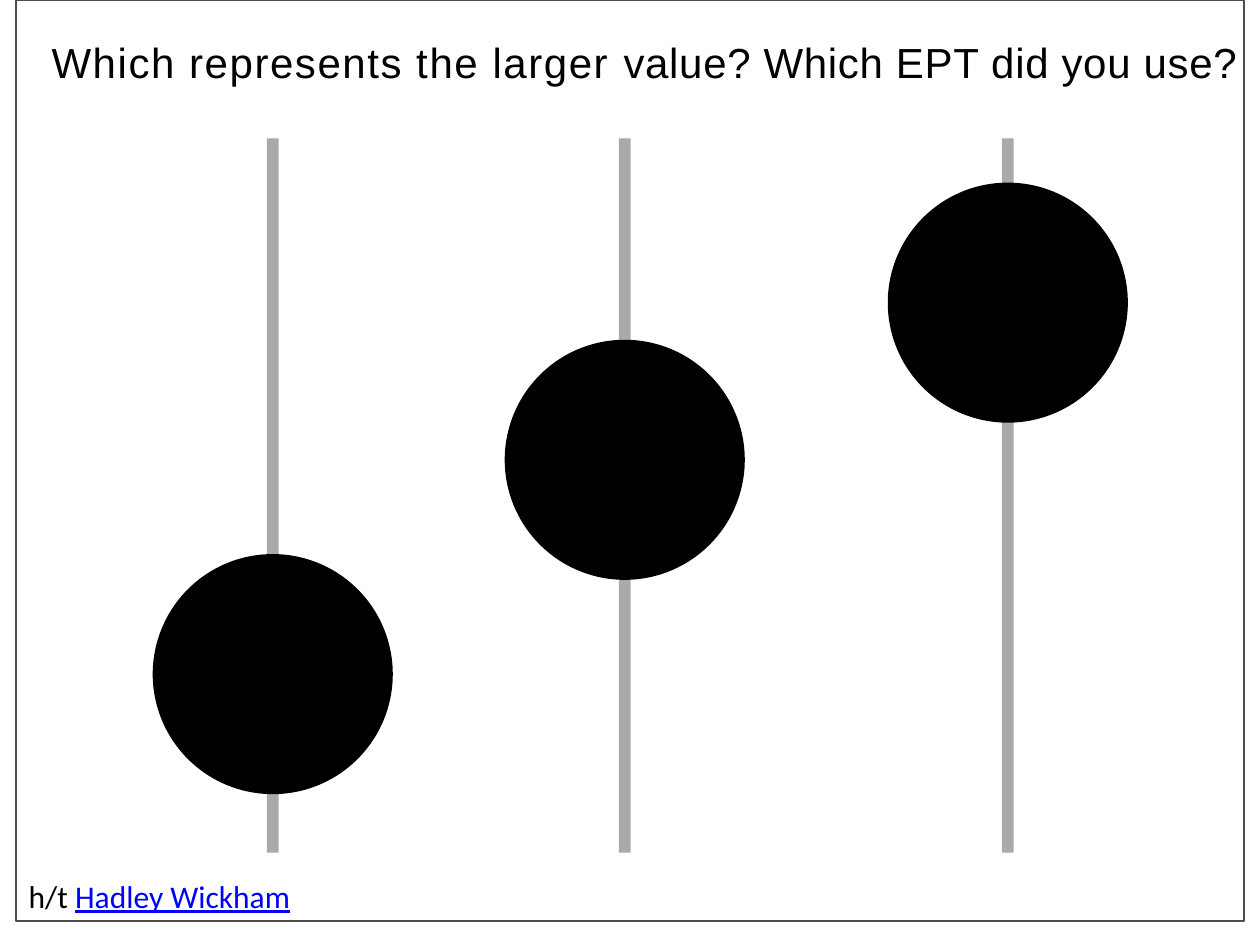
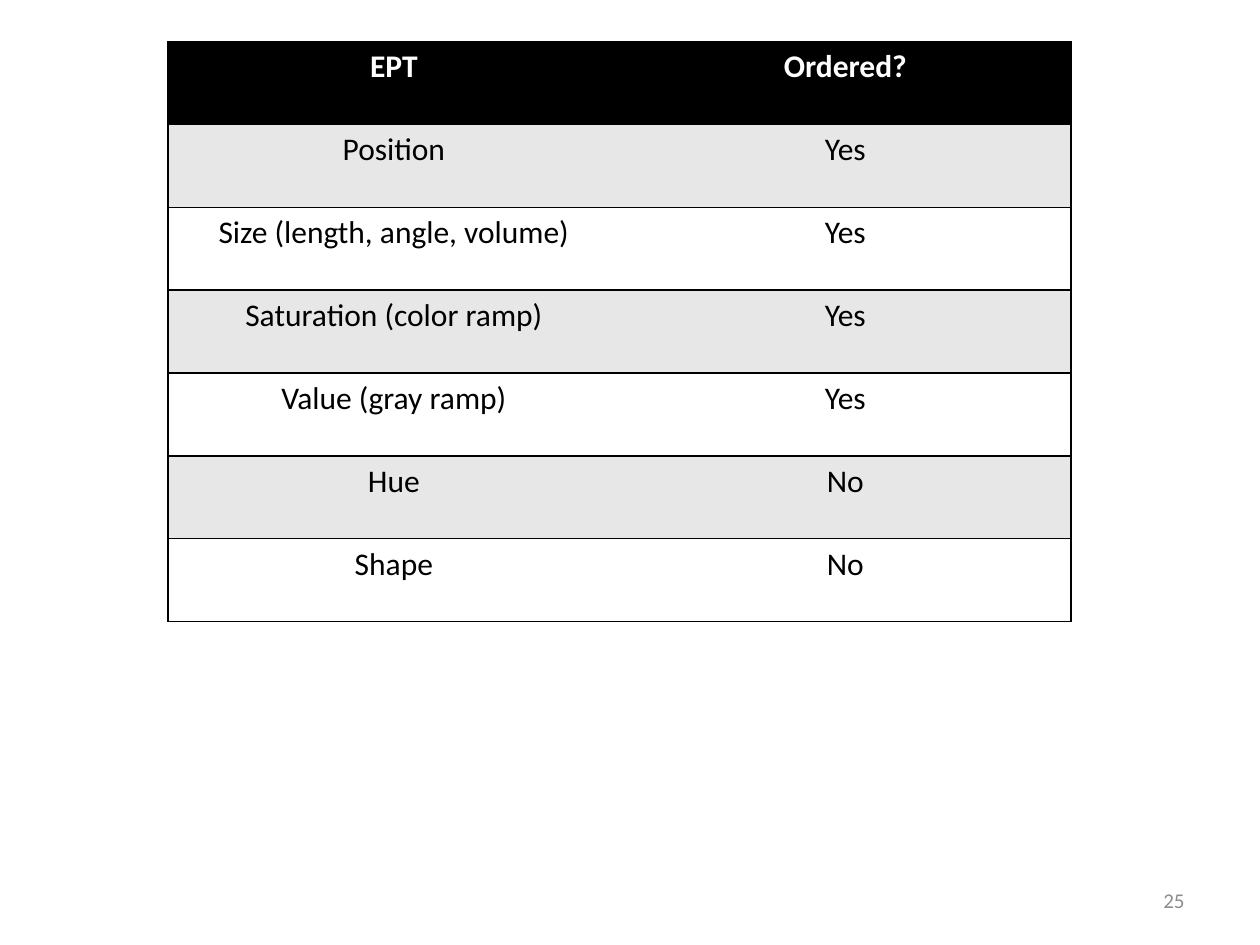
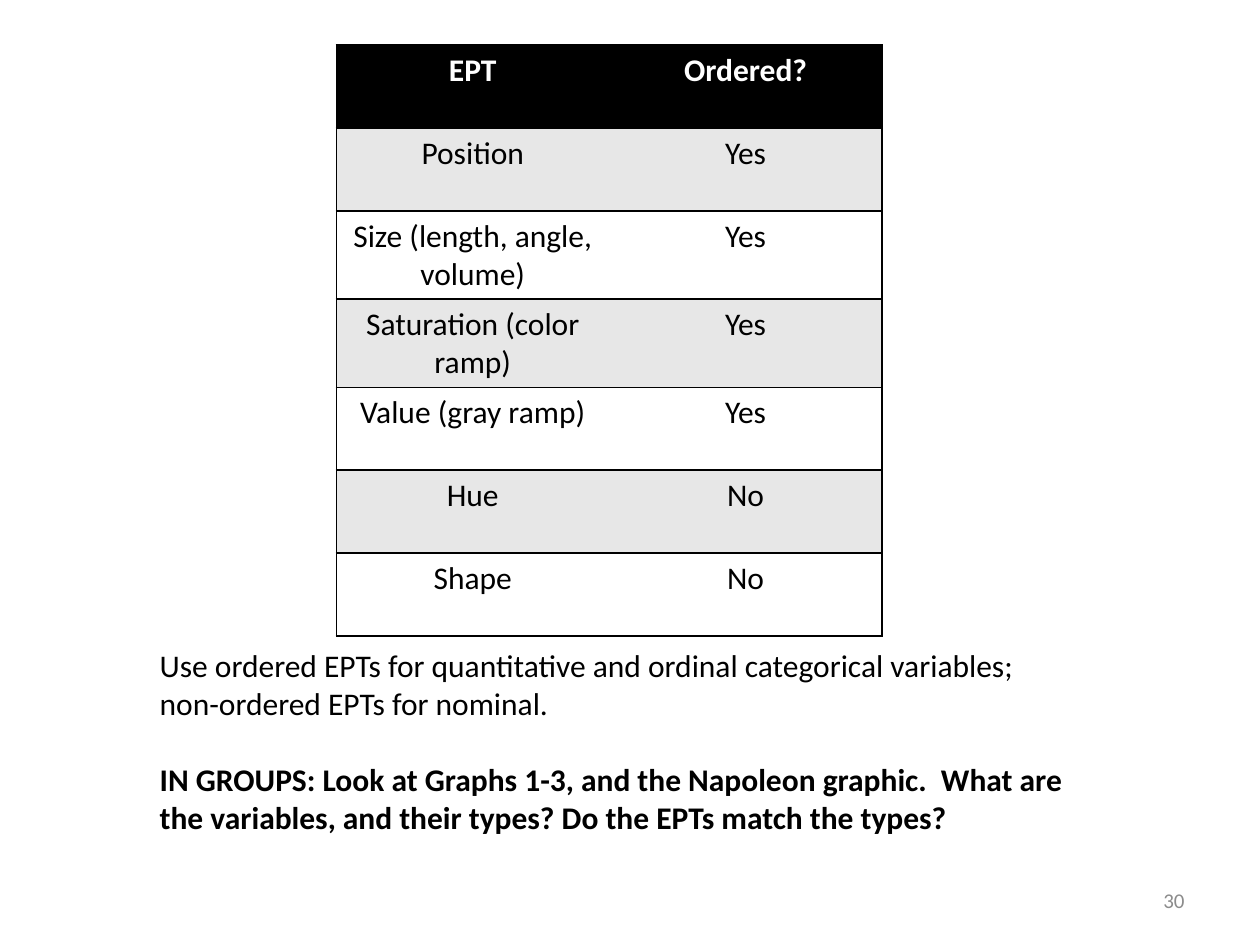
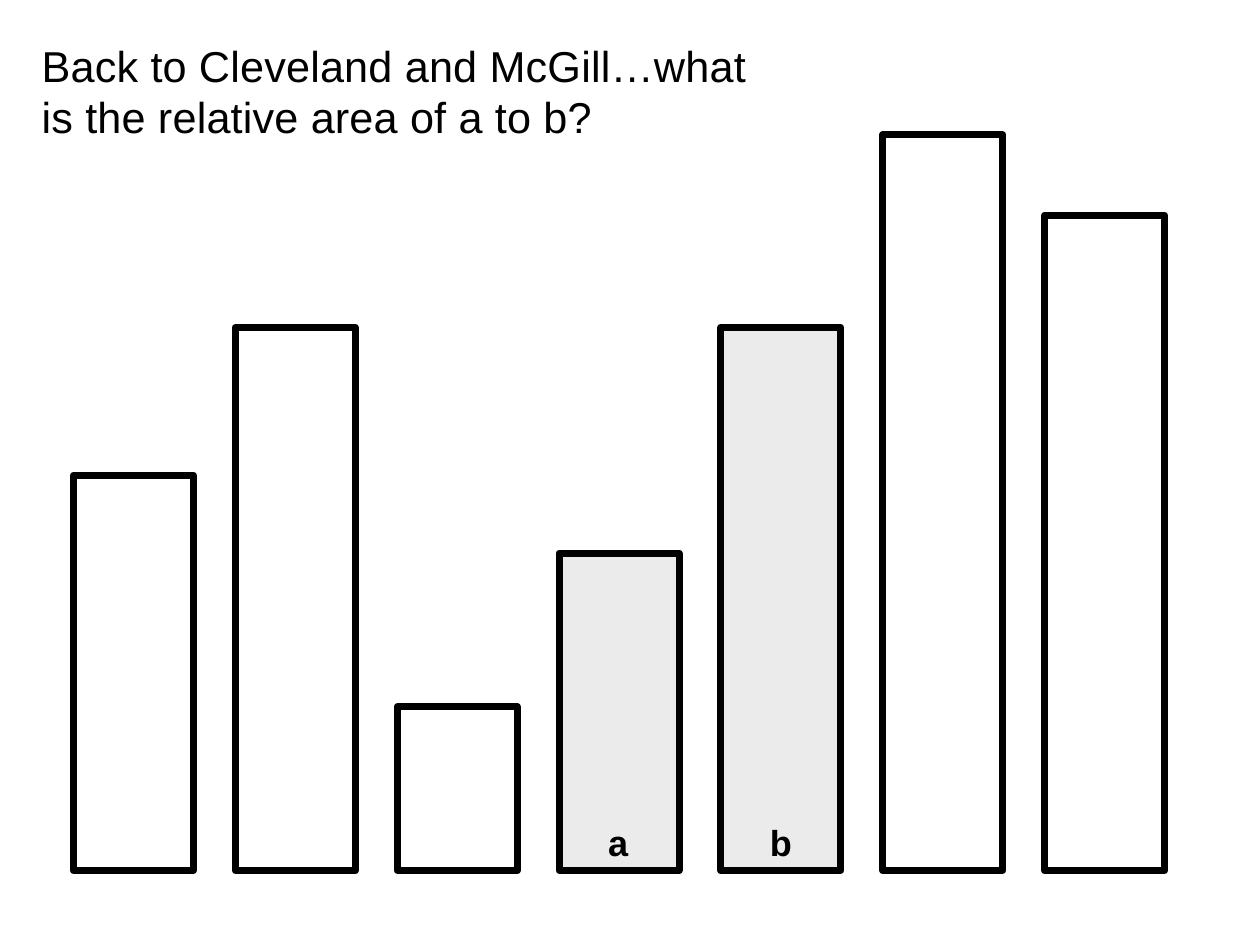
from lxml import etree
from pptx import Presentation
from pptx.dml.color import RGBColor
from pptx.enum.shapes import MSO_SHAPE
from pptx.enum.text import MSO_ANCHOR, PP_ALIGN
from pptx.oxml.ns import qn
from pptx.util import Cm, Pt

RECTANGLE, OVAL = MSO_SHAPE.RECTANGLE, MSO_SHAPE.OVAL
LEFT, CENTER, RIGHT = PP_ALIGN.LEFT, PP_ALIGN.CENTER, PP_ALIGN.RIGHT
TOP, MIDDLE = MSO_ANCHOR.TOP, MSO_ANCHOR.MIDDLE

BLACK = RGBColor(0x00, 0x00, 0x00)
WHITE = RGBColor(0xFF, 0xFF, 0xFF)
TRACK_GRAY = RGBColor(0xAA, 0xAA, 0xAA)
FRAME_GRAY = RGBColor(0x4C, 0x4C, 0x4C)
BAND_GRAY = RGBColor(0xE7, 0xE7, 0xE7)
BAR_GRAY = RGBColor(0xEB, 0xEB, 0xEB)
NUMBER_GRAY = RGBColor(0x8C, 0x8C, 0x8C)
LINK_BLUE = RGBColor(0x00, 0x00, 0xFF)

HEADING_FONT, BODY_FONT = "Arial", "Calibri"

EPT_ROWS = [
    ("EPT", "Ordered?"),
    ("Position", "Yes"),
    ("Size (length, angle, volume)", "Yes"),
    ("Saturation (color ramp)", "Yes"),
    ("Value (gray ramp)", "Yes"),
    ("Hue", "No"),
    ("Shape", "No"),
]
ROW_HEIGHT = 1.67


def add_figure(slide, kind, box, fill=None, line=None, line_width=1):
    figure = slide.shapes.add_shape(kind, *map(Cm, box))
    figure.shadow.inherit = False
    if fill is None:
        figure.fill.background()
    else:
        figure.fill.solid()
        figure.fill.fore_color.rgb = fill
    if line is None:
        figure.line.fill.background()
    else:
        figure.line.color.rgb = line
        figure.line.width = Pt(line_width)
        outline = figure.line._get_or_add_ln()
        for join in outline.findall(qn("a:miter")):
            outline.remove(join)
        etree.SubElement(outline, qn("a:round"))
    return figure


def style(font, name, size, color=BLACK, bold=False):
    font.name = name
    font.size = Pt(size)
    font.color.rgb = color
    font.bold = bold


def add_text(slide, box, runs, name, size, color=BLACK, bold=False,
             align=LEFT, anchor=TOP, wrap=True, inset=True):
    frame = slide.shapes.add_textbox(*map(Cm, box)).text_frame
    frame.word_wrap = wrap
    frame.vertical_anchor = anchor
    if not inset:
        frame.margin_left = frame.margin_right = 0
        frame.margin_top = frame.margin_bottom = 0
    paragraph = frame.paragraphs[0]
    paragraph.alignment = align
    style(paragraph.font, name, size, color, bold)
    for text, spacing in runs:
        run = paragraph.add_run()
        run.text = text
        if spacing:
            run._r.get_or_add_rPr().set("spc", str(round(spacing * 100)))
    return frame


def add_page_number(slide, number):
    add_text(slide, (18.2, 17.65, 5.93, 1.01), [(number, 0)], BODY_FONT, 12,
             NUMBER_GRAY, align=RIGHT, anchor=MIDDLE)


def add_sliders(slide, box):
    left, top, width, height = box
    track_width, knob = 0.24, 4.84
    sliders = [(0.16, 0.75), (0.5, 0.45), (0.87, 0.23)]
    for x_share, y_share in sliders:
        x, y = left + width * x_share, top + height * y_share
        add_figure(slide, RECTANGLE,
                   (x - track_width / 2, top, track_width, height), TRACK_GRAY)
        add_figure(slide, OVAL, (x - knob / 2, y - knob / 2, knob, knob), BLACK)


def build_value_question(slide, box):
    left, top, width, height = box
    add_sliders(slide, (left + 1.83, top + 2.79, 20.87, 14.4))
    add_figure(slide, RECTANGLE, box, line=FRAME_GRAY)
    credit = add_text(slide, (left, top + height - 1.02, 5.84, 1.02),
                      [("h/t ", 0), ("Hadley Wickham", 0)], BODY_FONT, 18,
                      wrap=False)
    author = credit.paragraphs[0].runs[1].font
    author.color.rgb = LINK_BLUE
    author.underline = True
    add_text(slide, (left + 0.46, top + 0.61, 24.64, 1.27),
             [("Which represents the larger ", 0.9),
              ("value? Which EPT did you use?", 0.4)],
             HEADING_FONT, 24, wrap=False)


def set_borders(cell, visible_sides):
    properties = cell._tc.get_or_add_tcPr()
    for side in "LRTB":
        border = etree.SubElement(properties, qn(f"a:ln{side}"), w=str(Pt(1)))
        if side in visible_sides:
            fill = etree.SubElement(border, qn("a:solidFill"))
            etree.SubElement(fill, qn("a:srgbClr"), val=str(BLACK))
        else:
            etree.SubElement(border, qn("a:noFill"))


def add_ept_table(slide, left, top, width):
    table = slide.shapes.add_table(
        len(EPT_ROWS), 2, Cm(left), Cm(top), Cm(width),
        Cm(ROW_HEIGHT * len(EPT_ROWS))).table
    table.horz_banding = False
    for row_index, texts in enumerate(EPT_ROWS):
        table.rows[row_index].height = Cm(ROW_HEIGHT)
        is_header = row_index == 0
        band = BLACK if is_header else BAND_GRAY if row_index % 2 else WHITE
        for column, text in enumerate(texts):
            cell = table.cell(row_index, column)
            set_borders(cell, "TB" + "LR"[column])
            cell.fill.solid()
            cell.fill.fore_color.rgb = band
            cell.text = text
            paragraph = cell.text_frame.paragraphs[0]
            paragraph.alignment = CENTER
            style(paragraph.font, BODY_FONT, 18,
                  WHITE if is_header else BLACK, is_header)


def build_ept_slide(slide, left, top, width, number):
    add_page_number(slide, number)
    add_ept_table(slide, left, top, width)


def add_group_task(slide, box):
    frame = add_text(
        slide, box,
        [("Use ordered EPTs for quantitative and ordinal categorical "
          "variables; non-ordered EPTs for nominal.", 0)], BODY_FONT, 18)
    task = frame.add_paragraph()
    task.text = ("IN GROUPS: Look at Graphs 1-3, and the Napoleon graphic.  "
                 "What are the variables, and their types? "
                 "Do the EPTs match the types?")
    task.space_before = Pt(22)
    style(task.font, BODY_FONT, 18, bold=True)


def add_bars(slide, box):
    left, top, width, height = box
    bars = [(7.97, ""), (10.95, ""), (3.3, ""), (6.4, "a"), (10.95, "b"),
            (14.83, ""), (13.21, "")]
    bar_width = 2.42
    pitch = (width - bar_width) / (len(bars) - 1)
    baseline = top + height
    for index, (bar_height, label) in enumerate(bars):
        x = left + index * pitch
        add_figure(slide, RECTANGLE,
                   (x, baseline - bar_height, bar_width, bar_height),
                   BAR_GRAY if label else None, BLACK, 4)
        if label:
            add_text(slide, (x + 0.99, baseline - 1.01, 0.48, 0.89),
                     [(label, 0)], HEADING_FONT, 20.6, bold=True, inset=False)


def build_area_question(slide, box):
    left, top, width, height = box
    add_bars(slide, (left + 0.64, top + 1.93, 22, 14.83))
    question = add_text(
        slide, (left, top, 14.38, 2.06),
        [("Back to Cleveland and McGill…what is the relative area of a to b?",
          0.1)], HEADING_FONT, 24.7, inset=False)
    question.paragraphs[0].line_spacing = Pt(29.5)


def main():
    deck = Presentation()
    deck.slide_width, deck.slide_height = Cm(25.4), Cm(19.05)
    blank = deck.slide_layouts[6]
    values, ordered, groups, areas = (
        deck.slides.add_slide(blank) for _ in range(4))
    build_value_question(values, (0.33, 0, 24.75, 18.57))
    build_ept_slide(ordered, 3.39, 0.84, 18.2, "25")
    build_ept_slide(groups, 6.78, 0.91, 11, "30")
    add_group_task(groups, (2.97, 12.9, 18.85, 4.11))
    build_area_question(areas, (0.84, 0.79, 22.64, 16.76))
    deck.save("out.pptx")


if __name__ == "__main__":
    main()
